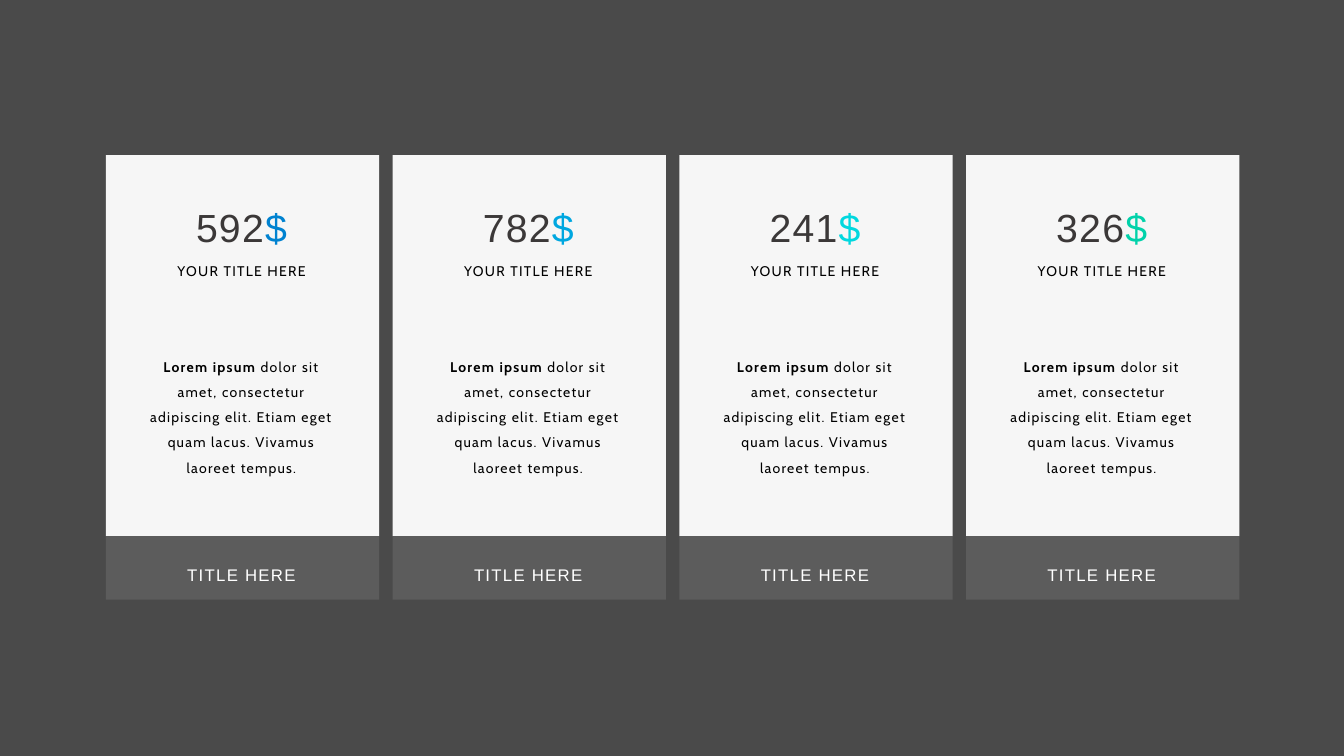
from pptx import Presentation
from pptx.dml.color import RGBColor
from pptx.enum.shapes import MSO_SHAPE as Shape
from pptx.enum.text import MSO_AUTO_SIZE as Auto, PP_ALIGN as Align
from pptx.util import Inches, Pt


def paint(fill, tone):
    fill.solid()
    fill.fore_color.rgb = RGBColor.from_string(tone)


def write(x, y, w, h, size, face, runs):
    box = slide.shapes.add_textbox(Inches(x), Inches(y), Inches(w), Inches(h))
    frame = box.text_frame
    frame.word_wrap = True
    frame.auto_size = Auto.SHAPE_TO_FIT_TEXT
    para = frame.paragraphs[0]
    para.alignment = Align.CENTER
    para.line_spacing = 1.5
    for text, tone, bold in runs:
        run = para.add_run()
        run.text = text
        font = run.font
        font.size, font.name, font.bold = Pt(size), face, bold
        paint(font.fill, tone)
        font._element.set("spc", "90")  # letter spacing, 1/100 pt


deck = Presentation()
deck.slide_width, deck.slide_height = Inches(13.33), Inches(7.5)
slide = deck.slides.add_slide(deck.slide_layouts[6])
paint(slide.background.fill, "4A4A4A")

# Price and accent colour of each card
cards = [("592", "0082D0"), ("782", "00A7E0"),
         ("241", "01D8DF"), ("326", "01D2AA")]
left, step, width = 1.05, 2.844, 2.71
body = ("dolor sit amet, consectetur adipiscing elit. Etiam eget quam "
        "lacus. Vivamus laoreet tempus.")

for i, (price, tone) in enumerate(cards):
    x = left + i * step

    # Card panel and footer
    for y, h, shade in [(1.54, 3.78, "F6F6F6"), (5.32, 0.63, "5C5C5C")]:
        rect = slide.shapes.add_shape(Shape.RECTANGLE, Inches(x), Inches(y),
                                      Inches(width), Inches(h))
        rect.shadow.inherit = False
        paint(rect.fill, shade)
        rect.line.fill.background()

    # Price, heading, description and footer label
    write(x + 0.15, 1.73, 2.39, 0.73, 28, "Arial",
          [(price, "3B3838", False), ("$", tone, False)])
    write(x + 0.15, 2.47, 2.39, 0.32, 10, "Cabin",
          [("YOUR TITLE HERE", "000000", False)])
    write(x + 0.28, 3.42, 2.13, 1.08, 10, "Cabin",
          [("Lorem ipsum ", "000000", True), (body, "000000", False)])
    write(x + 0.15, 5.45, 2.39, 0.37, 12, "Arial",
          [("TITLE HERE", "FFFFFF", False)])

deck.save("out.pptx")
